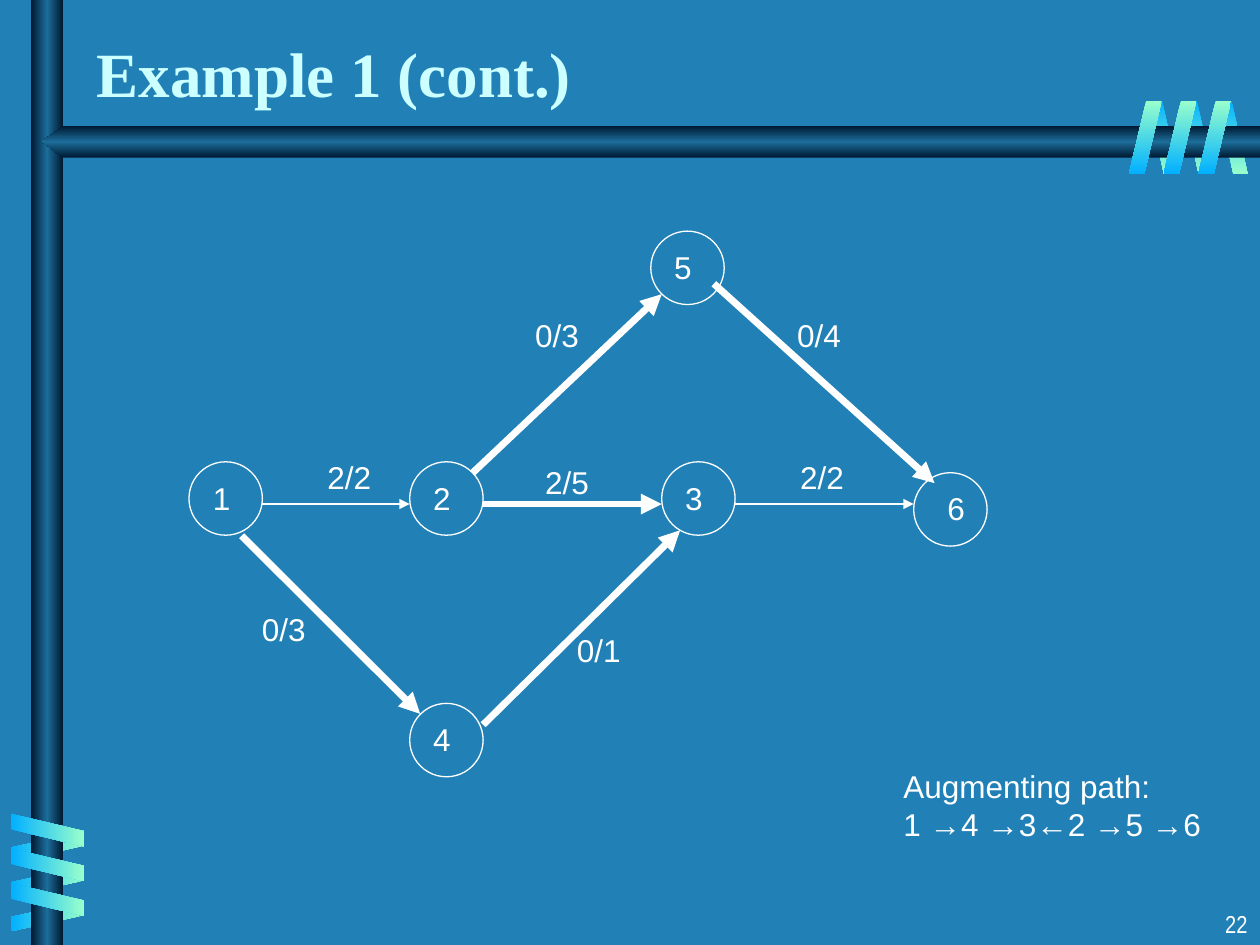
import pptx
import pptx.dml.color
import pptx.enum.shapes
import pptx.enum.text
import pptx.oxml
import pptx.oxml.ns
import pptx.util

Cm = pptx.util.Cm
Pt = pptx.util.Pt
Kind = pptx.enum.shapes.MSO_SHAPE
Align = pptx.enum.text.PP_ALIGN
Fit = pptx.enum.text.MSO_AUTO_SIZE
qn = pptx.oxml.ns.qn
NS = pptx.oxml.ns.nsdecls("a")

WHITE, BLUE, MINT = "FFFFFF", "01B0FF", "99FFCC"
BAR = ["001932", "1C6D9A", "001932"]


def rgb(code):
    return pptx.dml.color.RGBColor.from_string(code)


class Deck:
    back = "2181B7"
    font = "Arial"
    size = 18

    def __init__(self):
        self.prs = pptx.Presentation()
        self.prs.slide_width = Cm(25.4)
        self.prs.slide_height = Cm(19.05)
        self.slide = self.prs.slides.add_slide(self.prs.slide_layouts[5])
        self.shapes = self.slide.shapes
        fill = self.slide.background.fill
        fill.solid()
        fill.fore_color.rgb = rgb(self.back)

    def blend(self, shape, codes, angle):
        """Fill with evenly spaced colours that keep their direction on the slide."""
        shape.line.fill.background()
        shape.shadow.inherit = False
        step = 100000 // (len(codes) - 1)
        stops = "".join(
            f'<a:gs pos="{i * step}"><a:srgbClr val="{code}"/></a:gs>'
            for i, code in enumerate(codes))
        grad = pptx.oxml.parse_xml(
            f'<a:gradFill {NS} rotWithShape="0"><a:gsLst>{stops}</a:gsLst>'
            f'<a:lin ang="{angle * 60000}" scaled="0"/></a:gradFill>')
        shape._element.spPr.find(qn("a:ln")).addprevious(grad)

    def band(self, x, y, w, codes, angle, turn=0, flip=False):
        """Draw one slanted ribbon of a coil."""
        shape = self.shapes.add_shape(Kind.PARALLELOGRAM, Cm(x), Cm(y), Cm(w), Cm(1.47))
        shape.adjustments[0] = 0.53
        shape.rotation = turn
        if flip:
            shape._element.spPr.find(qn("a:xfrm")).set("flipH", "1")
        self.blend(shape, codes, angle)

    def post(self, x, y, w, h):
        shape = self.shapes.add_shape(Kind.RECTANGLE, Cm(x), Cm(y), Cm(w), Cm(h))
        self.blend(shape, BAR, 0)

    def beam(self, points):
        pts = [(Cm(x), Cm(y)) for x, y in points]
        form = self.shapes.build_freeform(*pts[0])
        form.add_line_segments(pts[1:], close=True)
        self.blend(form.convert_to_shape(), BAR, 90)

    def node(self, x, y):
        shape = self.shapes.add_shape(Kind.OVAL, Cm(x), Cm(y), Cm(1.48), Cm(1.48))
        shape.fill.background()
        shape.line.color.rgb = rgb(WHITE)
        shape.line.width = Pt(0.75)
        shape.shadow.inherit = False

    def edge(self, x1, y1, x2, y2, width):
        line = self.shapes.add_connector(
            pptx.enum.shapes.MSO_CONNECTOR.STRAIGHT, Cm(x1), Cm(y1), Cm(x2), Cm(y2))
        line.line.color.rgb = rgb(WHITE)
        line.line.width = Pt(width)
        props = line._element.spPr
        props.find(qn("a:ln")).append(
            pptx.oxml.parse_xml(f'<a:tailEnd {NS} type="triangle"/>'))
        props.append(pptx.oxml.parse_xml(f"<a:effectLst {NS}/>"))

    def style(self, para, font, size, code, align=Align.LEFT, bold=False):
        para.alignment = align
        para.font.name = font
        para.font.size = Pt(size)
        para.font.bold = bold
        para.font.color.rgb = rgb(code)

    def text(self, words, x, y, w, h=1.02):
        frame = self.shapes.add_textbox(Cm(x), Cm(y), Cm(w), Cm(h)).text_frame
        frame.word_wrap = False
        frame.auto_size = Fit.SHAPE_TO_FIT_TEXT
        frame.text = words
        for para in frame.paragraphs:
            self.style(para, self.font, self.size, WHITE)

    def page(self, words):
        frame = self.shapes.add_textbox(Cm(20.12), Cm(18.21), Cm(5.28), Cm(0.84)).text_frame
        frame.word_wrap = True
        frame.text = words
        self.style(frame.paragraphs[0], "Arial Narrow", 14, WHITE, Align.RIGHT)

    def title(self, words):
        shape = self.shapes.title
        shape.left, shape.top, shape.width, shape.height = Cm(1.7), Cm(0.43), Cm(21.08), Cm(1.91)
        frame = shape.text_frame
        frame.vertical_anchor = pptx.enum.text.MSO_ANCHOR.BOTTOM
        frame.text = words
        self.style(frame.paragraphs[0], "Times New Roman", 36, "CCFFFF", bold=True)


# Circle corner, then the corner of its number
NODES = {
    "1": (3.81, 9.31, 4.04, 9.53),
    "2": (8.26, 9.31, 8.48, 9.53),
    "3": (13.34, 9.31, 13.56, 9.53),
    "4": (8.26, 14.18, 8.48, 14.4),
    "5": (13.12, 4.66, 13.34, 4.88),
    "6": (18.42, 9.53, 18.85, 9.73),
}
THIN, THICK = 0.75, 4
# Start, end, line width, label and label corner
EDGES = [
    (4.87, 10.8, 8.47, 14.39, THICK, "0/3", 5.03, 12.17),
    (5.29, 10.16, 8.26, 10.16, THIN, "2/2", 6.35, 9.1),
    (9.53, 9.53, 13.34, 5.93, THICK, "0/3", 10.54, 6.25),
    (9.74, 10.16, 13.34, 10.16, THICK, "2/5", 10.74, 9.2),
    (9.74, 14.61, 13.71, 10.69, THICK, "0/1", 11.38, 12.6),
    (14.82, 10.16, 18.42, 10.16, THIN, "2/2", 15.88, 9.1),
    (14.39, 5.72, 18.84, 9.74, THICK, "0/4", 15.82, 6.25),
]


def frame(deck):
    """Draw the two bars with a coil wound round each."""
    gap = 0.7
    for i in range(3):
        deck.band(24.54 - gap * i, 2.03, 0.61, [BLUE, MINT], 90, 180, True)
        deck.band(0.66, 16.33 + gap * i, 0.61, [MINT, BLUE], 0, 90, True)
    deck.post(0.63, 0, 0.64, 19.05)
    deck.beam([(25.4, 2.54), (1.27, 2.54), (0.84, 2.85), (1.27, 3.18), (25.4, 3.18)])
    for i in range(3):
        deck.band(0.63, 16 + gap * i, 0.66, [BLUE, MINT], 0, 270)
        deck.band(24.16 - gap * i, 2.03, 0.66, [MINT, BLUE], 90)


def main():
    deck = Deck()
    frame(deck)
    deck.title("Example 1 (cont.)")
    for name, (x, y, tx, ty) in NODES.items():
        deck.node(x, y)
        deck.text(name, tx, ty, 0.86)
    for x1, y1, x2, y2, width, label, tx, ty in EDGES:
        deck.edge(x1, y1, x2, y2, width)
        deck.text(label, tx, ty, 1.4)
    deck.text("Augmenting path:\n1 →4 →3←2 →5 →6", 17.96, 15.34, 6.5, 1.78)
    deck.page("22")
    deck.prs.save("out.pptx")


if __name__ == "__main__":
    main()
